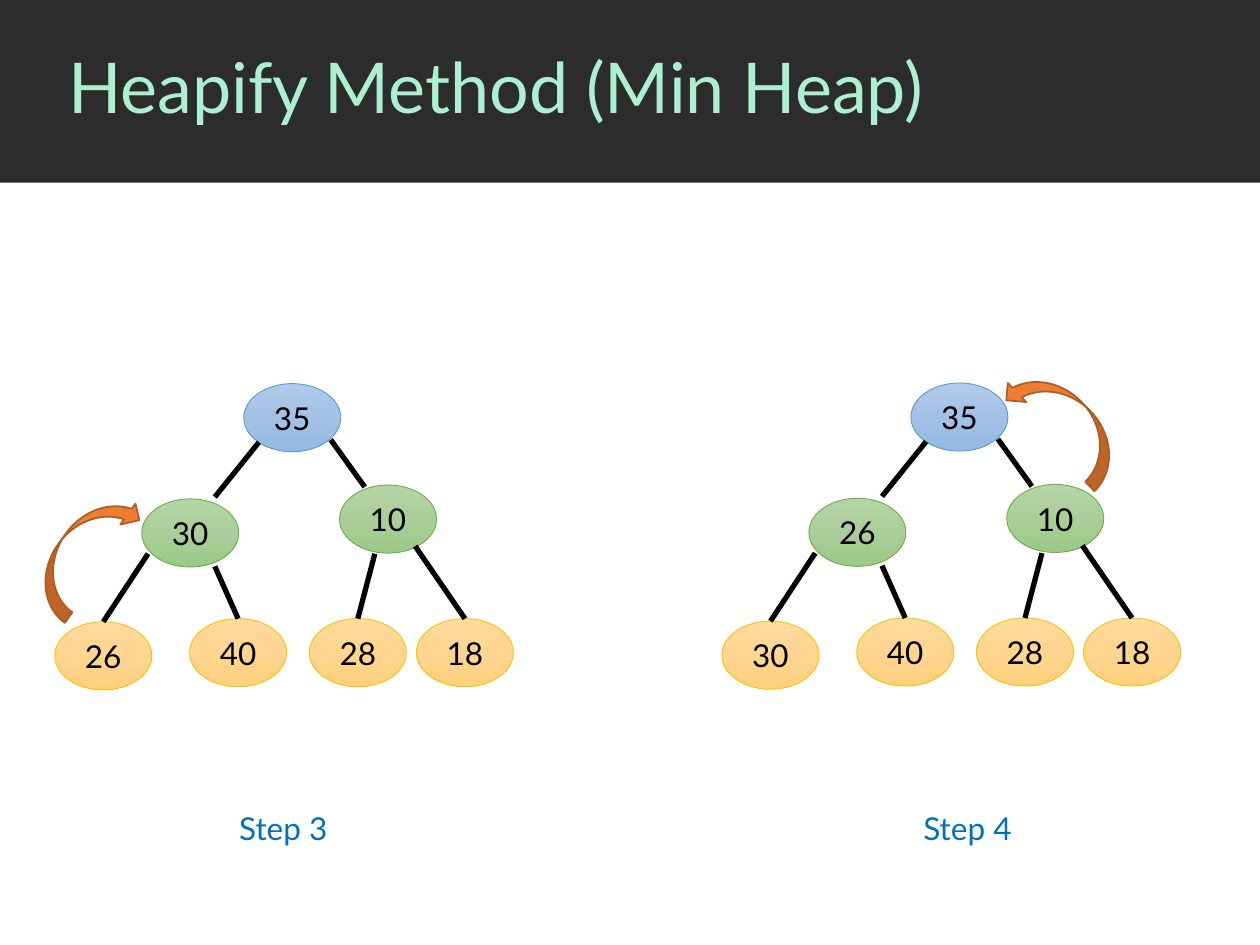
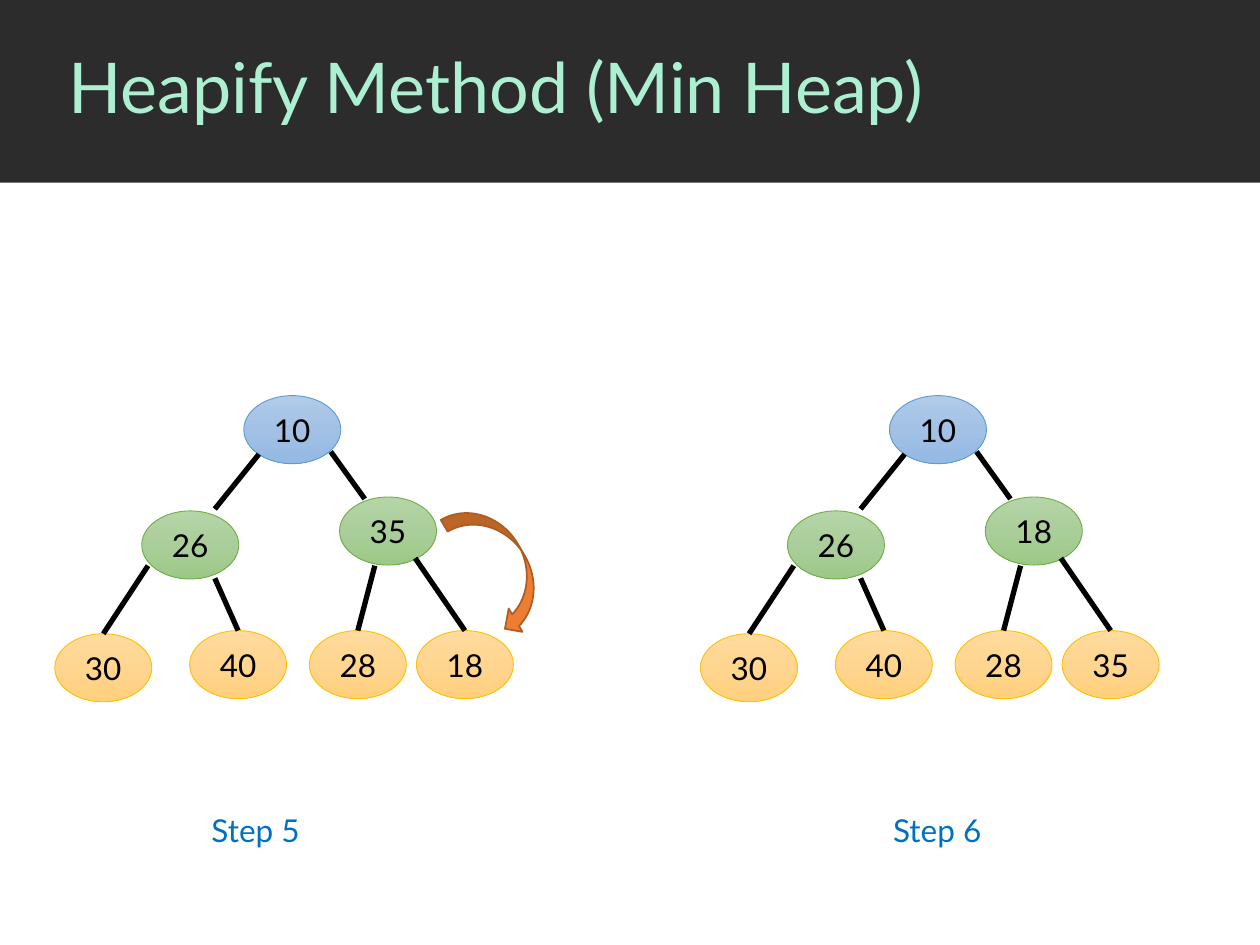
from copy import deepcopy

from lxml.etree import SubElement
from pptx import Presentation
from pptx.dml.color import RGBColor
from pptx.enum.shapes import MSO_CONNECTOR as LineKind, MSO_SHAPE as Shape
from pptx.enum.text import MSO_ANCHOR as Anchor, MSO_AUTO_SIZE as AutoSize, PP_ALIGN as Align
from pptx.oxml.ns import qn
from pptx.util import Inches, Pt

# The slide is a grid of 100 columns by 75 rows of square cells
SLIDE_W, SLIDE_H = Inches(10), Inches(7.5)
CELL = SLIDE_W / 100

TITLE = "Heapify Method (Min Heap)"
FONT = "Lato"
BAND, MINT, BLACK, STEP_BLUE = "2C2C2C", "ADF0D1", "000000", "0070C0"
ARROW_FILL, ARROW_LINE = "ED7D31", "AF5C24"

# Gradient from top to bottom and outline for each level of the heap
ROOT_STYLE = ("B1CBE9", "A3C1E5", "93B9E4"), "5B9BD5"
INNER_STYLE = ("B5D5A7", "AACE9A", "9CC987"), "70AD47"
LEAF_STYLE = ("FFDB9E", "FFD590", "FFD07C"), "FFC000"
NODE_STYLES = [ROOT_STYLE] + [INNER_STYLE] * 2 + [LEAF_STYLE] * 4

# Heap layout in cells, relative to the top left corner of the tree
NODE_W, NODE_H = 7.7, 5.4
NODES = [(15, 0), (6.9, 9.15), (22.6, 8.05),
         (0, 18.9), (10.7, 18.65), (20.2, 18.65), (28.7, 18.65)]
INNER_EDGES = [((16.2, 4.65), (12.7, 9)), ((21.9, 4.45), (24.6, 8.2))]
LEAF_EDGE_STARTS = [(7.4, 13.5), (12.7, 14.5), (25.4, 13.5), (28.6, 12.9)]
LEAF_EDGES = [(start, (x + NODE_W / 2, y))
              for start, (x, y) in zip(LEAF_EDGE_STARTS, NODES[3:])]

# Each step: tree corner, label offset, heap values, swap arrow (box, turn, mirrored)
SLIDES = [
    [dict(name="Step 3", corner=(4.35, 30.45), label_at=(13.65, 33.25),
          heap=[35, 30, 10, 26, 40, 28, 18],
          swap=((0.35, 7.75, 4.1, 11.1), 36, True)),
     dict(name="Step 4", corner=(57.3, 30.4), label_at=(15, 33.3),
          heap=[35, 26, 10, 30, 40, 28, 18],
          swap=((25.1, -2.4, 4.2, 11.1), 315.9, False))],
    [dict(name="Step 5", corner=(4.35, 31.4), label_at=(11.45, 32.5),
          heap=[10, 26, 35, 30, 40, 28, 18],
          swap=((33.15, 8, 4.3, 11.1), 149.5, True)),
     dict(name="Step 6", corner=(55.6, 31.4), label_at=(14.3, 32.5),
          heap=[10, 26, 18, 30, 40, 28, 35], swap=None)],
]


def rgb(hex_color):
    return RGBColor.from_string(hex_color)


def cells(*lengths):
    return [round(length * CELL) for length in lengths]


def write(shape, text, size=18, color=BLACK, align=Align.LEFT, anchor=Anchor.TOP, spacing=None):
    frame = shape.text_frame
    frame.word_wrap = True
    frame.auto_size = AutoSize.NONE
    frame.vertical_anchor = anchor
    paragraph = frame.paragraphs[0]
    paragraph.alignment = align
    paragraph.line_spacing = spacing
    run = paragraph.add_run()
    run.text = text
    run.font.name, run.font.size = FONT, Pt(size)
    run.font.color.rgb = rgb(color)


def add_preset(slide, kind, box, fill=None, line=None, width=1):
    shape = slide.shapes.add_shape(kind, *cells(*box))
    shape.shadow.inherit = False
    if fill:
        shape.fill.solid()
        shape.fill.fore_color.rgb = rgb(fill)
    if line:
        shape.line.color.rgb = rgb(line)
        shape.line.width = Pt(width)
    else:
        shape.line.fill.background()
    return shape


def fill_gradient(shape, colors):
    shape.fill.gradient()
    shape.fill.gradient_angle = 270
    # The default gradient has two stops: add a middle one
    stop_list = shape.element.spPr.find(qn("a:gradFill")).find(qn("a:gsLst"))
    stop_list.insert(1, deepcopy(stop_list[0]))
    for stop, position, color in zip(shape.fill.gradient_stops, (0, 0.5, 1), colors):
        stop.position = position
        stop.color.rgb = rgb(color)


def add_node(slide, box, value, style):
    gradient, outline = style
    node = add_preset(slide, Shape.OVAL, box, line=outline, width=0.5)
    fill_gradient(node, gradient)
    frame = node.text_frame
    frame.margin_left = frame.margin_right = 0
    write(node, str(value), align=Align.CENTER, anchor=Anchor.MIDDLE)


def add_edge(slide, start, end):
    edge = slide.shapes.add_connector(LineKind.STRAIGHT, *cells(*start, *end))
    edge.line.color.rgb = rgb(BLACK)
    edge.line.width = Pt(3)
    SubElement(edge.element.spPr, qn("a:effectLst"))


def add_swap_arrow(slide, box, turn, mirrored):
    arrow = add_preset(slide, Shape.CURVED_LEFT_ARROW, box, ARROW_FILL, ARROW_LINE)
    arrow.rotation = turn
    frame = arrow.element.spPr.find(qn("a:xfrm"))
    frame.set("flipV", "1")
    if mirrored:
        frame.set("flipH", "1")


def add_step(slide, name, corner, label_at, heap, swap):
    left, top = corner

    def place(point):
        return left + point[0], top + point[1]

    # Heap nodes and the edges between them
    for point, value, style in zip(NODES, heap, NODE_STYLES):
        add_node(slide, (*place(point), NODE_W, NODE_H), value, style)
    for start, end in INNER_EDGES + LEAF_EDGES:
        add_edge(slide, place(start), place(end))

    # Arrow for the swap, and the caption
    if swap:
        box, turn, mirrored = swap
        add_swap_arrow(slide, (*place(box[:2]), *box[2:]), turn, mirrored)
    caption = slide.shapes.add_textbox(*cells(*place(label_at), 10.4, 4))
    write(caption, name, color=STEP_BLUE)


def set_up_layout(layout, slide):
    # Dark band behind the title, moved from the slide to the layout
    band = add_preset(slide, Shape.RECTANGLE, (0, 0, 100, 14.5), BAND)
    layout.shapes.element.insert(2, band.element)
    title = layout.placeholders[0]
    title.left, title.top, title.width, title.height = cells(4.4, 0, 95.6, 14.4)


def add_heap_slide(deck, layout, steps):
    slide = deck.slides.add_slide(layout)
    write(slide.shapes.title, TITLE, size=40, color=MINT, anchor=Anchor.MIDDLE, spacing=0.9)
    for step in steps:
        add_step(slide, **step)
    return slide


def main():
    deck = Presentation()
    deck.slide_width, deck.slide_height = SLIDE_W, SLIDE_H
    layout = deck.slide_layouts[5]
    slides = [add_heap_slide(deck, layout, steps) for steps in SLIDES]
    set_up_layout(layout, slides[0])
    deck.save("out.pptx")


if __name__ == "__main__":
    main()
